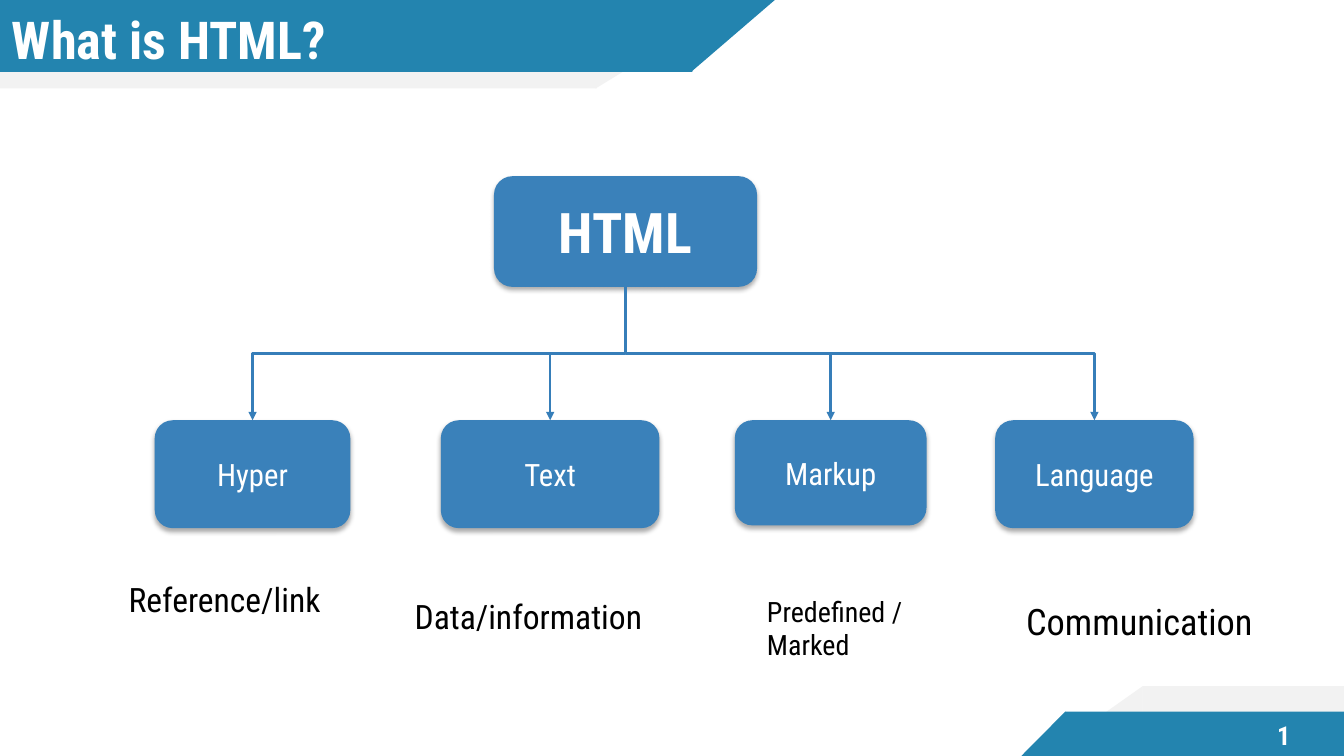
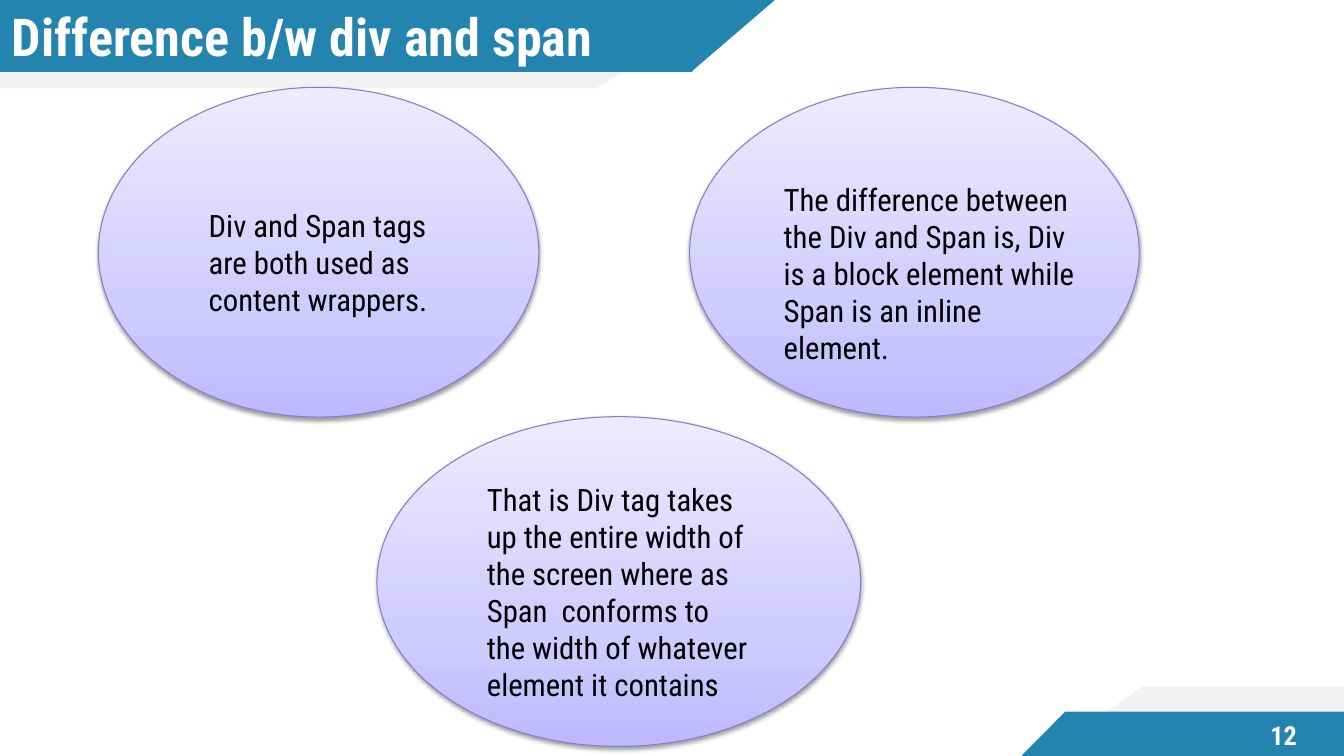
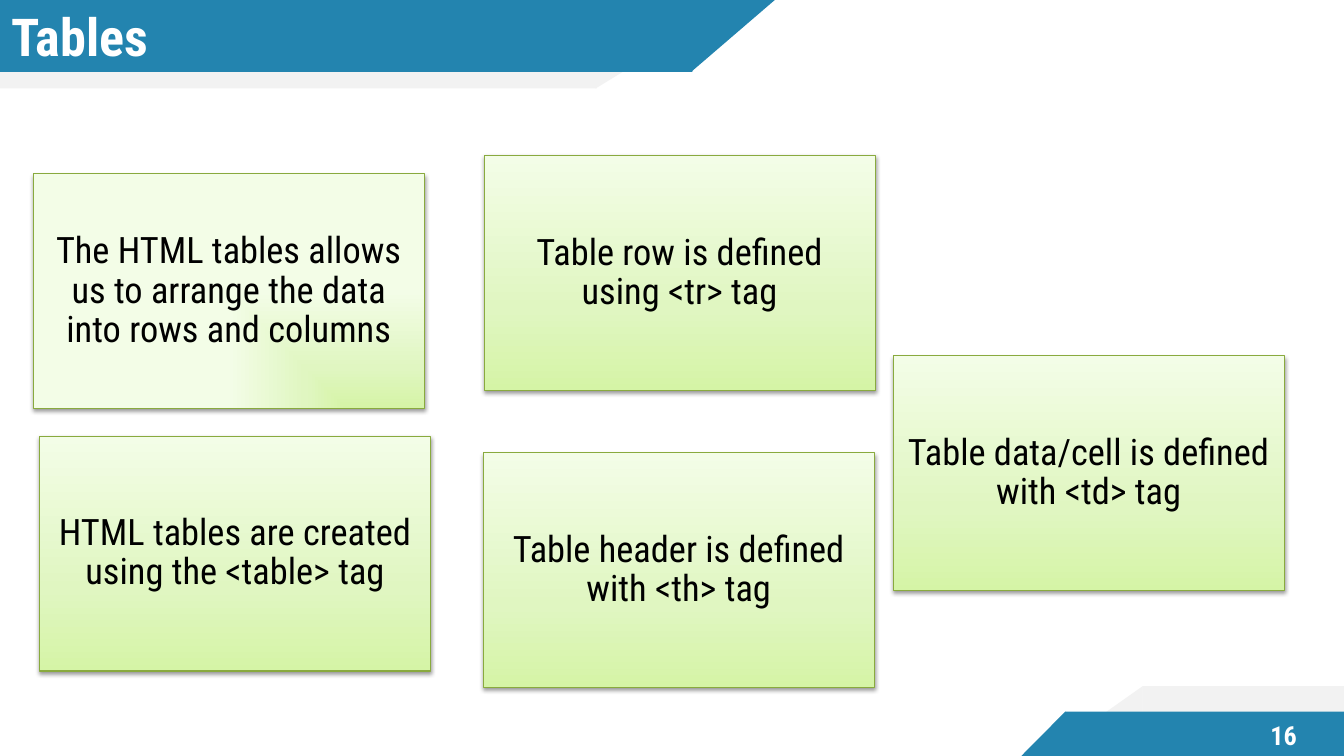
from copy import deepcopy
from dataclasses import dataclass

from pptx import Presentation
from pptx.dml.color import RGBColor
from pptx.enum.shapes import MSO_CONNECTOR, MSO_SHAPE
from pptx.enum.text import MSO_ANCHOR, MSO_AUTO_SIZE, PP_ALIGN
from pptx.oxml import parse_xml
from pptx.oxml.ns import nsdecls, qn
from pptx.oxml.xmlchemy import OxmlElement
from pptx.util import Cm, Pt


@dataclass(frozen=True)
class Theme:
    font: str = "Roboto Condensed"
    white: str = "FFFFFF"
    black: str = "000000"
    band: str = "2384AF"
    band_shade: str = "F2F2F2"
    box: str = "3A81BA"
    arrow: str = "367EB9"
    lilac: tuple = ("BFB8FF", "D1CCFF", "EDEBFF")
    lilac_line: str = "867CCF"
    lime: tuple = ("D5F4A6", "E0F6C1", "F3FDE7")
    lime_line: str = "89AA3E"
    stops: tuple = (0, 0.35, 1)
    box_shadow: tuple = (32, 3.5, 2.2)
    soft_shadow: tuple = (38, 3.1, 1.6)
    title: float = 37.3
    root: float = 40
    large: float = 26
    medium: float = 24
    body: float = 22
    small: float = 20
    number: float = 18.7


THEME = Theme()
WIDTH, HEIGHT = 33.87, 19.05
BANDS = (
    (THEME.band_shade, -0.02, 2.25, 180, (0, 15.04), (15.01, 3.68)),
    (THEME.band, -0.02, 1.83, 180, (0, 17.45), (17.42, 2.13)),
    (THEME.band_shade, 17.29, 1.76, 0, (28.79, 5.08), (26.31, 2.49)),
    (THEME.band, 17.93, 1.12, 0, (26.84, 7.03), (25.74, 1.11)),
)


def rgb(value):
    return RGBColor.from_string(value)


def write_text(tf, text, size=THEME.body, color=THEME.black, bold=False,
               align=PP_ALIGN.LEFT, anchor=MSO_ANCHOR.TOP, insets=None, spacing=None):
    tf.word_wrap = True
    tf.auto_size = MSO_AUTO_SIZE.NONE
    tf.vertical_anchor = anchor
    if insets:
        tf.margin_left, tf.margin_top, tf.margin_right, tf.margin_bottom = map(Cm, insets)
    for i, line in enumerate(text.split("\n")):
        p = tf.paragraphs[0] if i == 0 else tf.add_paragraph()
        p.alignment = align
        if spacing:
            p.line_spacing = spacing
        r = p.add_run()
        r.text = line
        r.font.name = THEME.font
        r.font.size = Pt(size)
        r.font.bold = bold
        r.font.color.rgb = rgb(color)


class Deck:
    def __init__(self, theme):
        self.theme = theme
        self.prs = Presentation()
        self.prs.slide_width, self.prs.slide_height = Cm(WIDTH), Cm(HEIGHT)
        self.layout = self.prs.slide_layouts[5]
        self.s = None

    def slide(self, title, number, title_top=0.1):
        self.s = self.prs.slides.add_slide(self.layout)
        if len(self.prs.slides) == 1:
            self.bands()
        sp = self.s.shapes.title
        sp.left, sp.top, sp.width, sp.height = map(Cm, (0, title_top, 18.69, 1.6))
        write_text(sp.text_frame, title, size=self.theme.title, color=self.theme.white,
                   bold=True, anchor=MSO_ANCHOR.MIDDLE, insets=(0.3, 0, 0, 0))
        self.text(str(number), 31.23, 17.96, 2.24, 1.14, size=self.theme.number,
                  color=self.theme.white, bold=True, align=PP_ALIGN.CENTER,
                  anchor=MSO_ANCHOR.MIDDLE, insets=(0.25,) * 4)

    def bands(self):
        for ph in list(self.layout.placeholders):
            if ph.placeholder_format.idx:
                ph.element.getparent().remove(ph.element)
        kinds = (MSO_SHAPE.RECTANGLE, MSO_SHAPE.RIGHT_TRIANGLE)
        shapes = [self.band_part(kind, left, top, width, height, color, turn)
                  for color, top, height, turn, *parts in BANDS
                  for kind, (left, width) in zip(kinds, parts)]
        for sp in shapes:
            self.layout.shapes.element.append(sp.element)

    def band_part(self, kind, left, top, width, height, color, turn):
        sp = self.s.shapes.add_shape(kind, Cm(left), Cm(top), Cm(width), Cm(height))
        sp.rotation = turn
        sp.element.spPr.xfrm.set("flipH", "1")
        sp.shadow.inherit = False
        sp.fill.solid()
        sp.fill.fore_color.rgb = rgb(color)
        sp.line.fill.background()
        return sp

    def text(self, text, left, top, width, height, **style):
        sp = self.s.shapes.add_textbox(Cm(left), Cm(top), Cm(width), Cm(height))
        write_text(sp.text_frame, text, **style)

    def shape(self, kind, left, top, width, height, shadow):
        sp = self.s.shapes.add_shape(kind, Cm(left), Cm(top), Cm(width), Cm(height))
        sp.shadow.inherit = False
        alpha, blur, dist = shadow
        sp.element.spPr.find(qn("a:effectLst")).append(parse_xml(
            f'<a:outerShdw {nsdecls("a")} blurRad="{Pt(blur)}" dist="{Pt(dist)}" '
            f'dir="5400000" rotWithShape="0"><a:srgbClr val="{self.theme.black}">'
            f'<a:alpha val="{alpha * 1000}"/></a:srgbClr></a:outerShdw>'))
        return sp

    def box(self, text, left, top, width, height, **style):
        sp = self.shape(MSO_SHAPE.ROUNDED_RECTANGLE, left, top, width, height,
                        self.theme.box_shadow)
        sp.fill.solid()
        sp.fill.fore_color.rgb = rgb(self.theme.box)
        sp.line.fill.background()
        write_text(sp.text_frame, text, color=self.theme.white, align=PP_ALIGN.CENTER,
                   anchor=MSO_ANCHOR.MIDDLE, **style)

    def gradient_shape(self, kind, left, top, width, height, colors, line, corner=False):
        sp = self.shape(kind, left, top, width, height, self.theme.soft_shadow)
        sp.fill.gradient()
        sp.fill.gradient_angle = 90
        grad = sp.element.spPr.find(qn("a:gradFill"))
        stops = grad.find(qn("a:gsLst"))
        stops.append(deepcopy(stops[0]))
        for stop, position, color in zip(sp.fill.gradient_stops, self.theme.stops, colors):
            stop.position = position
            stop.color.rgb = rgb(color)
        if corner:
            grad.replace(grad.find(qn("a:lin")), parse_xml(
                f'<a:path {nsdecls("a")} path="rect">'
                '<a:fillToRect l="100000" t="100000"/></a:path>'))
            grad.append(parse_xml(f'<a:tileRect {nsdecls("a")} r="-100000" b="-100000"/>'))
        sp.line.color.rgb = rgb(line)
        sp.line.width = Pt(0.75)
        return sp

    def ellipse(self, left, top, width, height):
        self.gradient_shape(MSO_SHAPE.OVAL, left, top, width, height,
                            self.theme.lilac, self.theme.lilac_line)

    def card(self, text, left, top, corner=False):
        sp = self.gradient_shape(MSO_SHAPE.RECTANGLE, left, top, 9.86, 5.92,
                                 self.theme.lime, self.theme.lime_line, corner)
        write_text(sp.text_frame, text, size=self.theme.large, align=PP_ALIGN.CENTER,
                   anchor=MSO_ANCHOR.MIDDLE, insets=(0.28,) * 4, spacing=0.9)

    def arrow(self, x1, y1, x2, y2, kind=MSO_CONNECTOR.STRAIGHT):
        c = self.s.shapes.add_connector(kind, Cm(x1), Cm(y1), Cm(x2), Cm(y2))
        c.line.color.rgb = rgb(self.theme.arrow)
        c.line.width = Pt(1.75)
        tail = OxmlElement("a:tailEnd")
        tail.set("type", "triangle")
        c.element.spPr.find(qn("a:ln")).append(tail)
        c.element.spPr.append(OxmlElement("a:effectLst"))
        return c

    def step_arrow(self, x1, y1, x2, y2):
        cx, cy = (x1 + x2) / 2, (y1 + y2) / 2
        half_width, half_height = (y2 - y1) / 2, (x1 - x2) / 2
        c = self.arrow(cx - half_width, cy - half_height, cx + half_width, cy + half_height,
                       MSO_CONNECTOR.ELBOW)
        c.element.spPr.xfrm.set("rot", "5400000")

    def corner_arrow(self, x1, y1, x2, y2):
        c = self.arrow(x1, y1, x2, y2, MSO_CONNECTOR.ELBOW)
        c.element.spPr.find(qn("a:prstGeom")).set("prst", "bentConnector2")


def html_slide(deck):
    t = deck.theme
    deck.slide("What is HTML?", 1, title_top=0.18)
    root_left, root_top, root_width, root_height = 12.45, 4.44, 6.63, 2.79
    child_top = 10.59
    children = (
        ("Hyper", 3.9, 4.93, 2.72),
        ("Text", 11.11, 5.51, 2.72),
        ("Markup", 18.52, 4.83, 2.65),
        ("Language", 25.08, 5, 2.72),
    )
    deck.box("HTML", root_left, root_top, root_width, root_height, size=t.root, bold=True)
    for text, left, width, height in children:
        deck.box(text, left, child_top, width, height)

    first, *middle, last = [left + width / 2 for _, left, width, _ in children]
    root_center, root_bottom = root_left + root_width / 2, root_top + root_height
    bus_top = (root_bottom + child_top) / 2
    deck.step_arrow(root_center, root_bottom, first, child_top)
    deck.corner_arrow(root_center, bus_top, last, child_top)
    for x in middle:
        deck.arrow(x, bus_top, x, child_top)

    for text, left, top, width, height, size in (
        ("Reference/link", 2.99, 14.47, 6.27, 1.27, t.medium),
        ("Data/information", 10.2, 14.88, 6.78, 1.27, t.medium),
        ("Predefined /\nMarked", 19.08, 14.85, 5.61, 1.96, t.small),
        ("Communication", 25.61, 14.97, 7.42, 2.31, t.large),
    ):
        deck.text(text, left, top, width, height, size=size)


def div_span_slide(deck):
    deck.slide("Difference b/w div and span", 12)
    for ellipse, text, text_box in (
        ((2.48, 2.2, 11.1, 8.31),
         "Div and Span tags are both used as content wrappers.",
         (5.01, 5.09, 6.88, 3.07)),
        ((9.5, 10.5, 12.19, 8.31),
         "That is Div tag takes up the entire width of the screen where as "
         "Span  conforms to the width of whatever element it contains",
         (12.02, 12, 7.16, 5.89)),
        ((17.38, 2.2, 11.33, 8.31),
         "The difference between the Div and Span is, Div is a block element "
         "while Span is an inline element.",
         (19.5, 4.43, 8.2, 4.95)),
    ):
        deck.ellipse(*ellipse)
        deck.text(text, *text_box)


def tables_slide(deck):
    deck.slide("Tables", 16)
    deck.card("The HTML tables allows us to arrange the data into rows and columns",
              0.84, 4.38, corner=True)
    for text, left, top in (
        ("HTML tables are created using the <table> tag", 1, 10.99),
        ("Table row is defined using <tr> tag", 12.2, 3.92),
        ("Table header is defined with <th> tag", 12.18, 11.41),
        ("Table data/cell is defined with <td> tag", 22.51, 8.97),
    ):
        deck.card(text, left, top)


def main():
    deck = Deck(THEME)
    html_slide(deck)
    div_span_slide(deck)
    tables_slide(deck)
    deck.prs.save("out.pptx")


if __name__ == "__main__":
    main()
